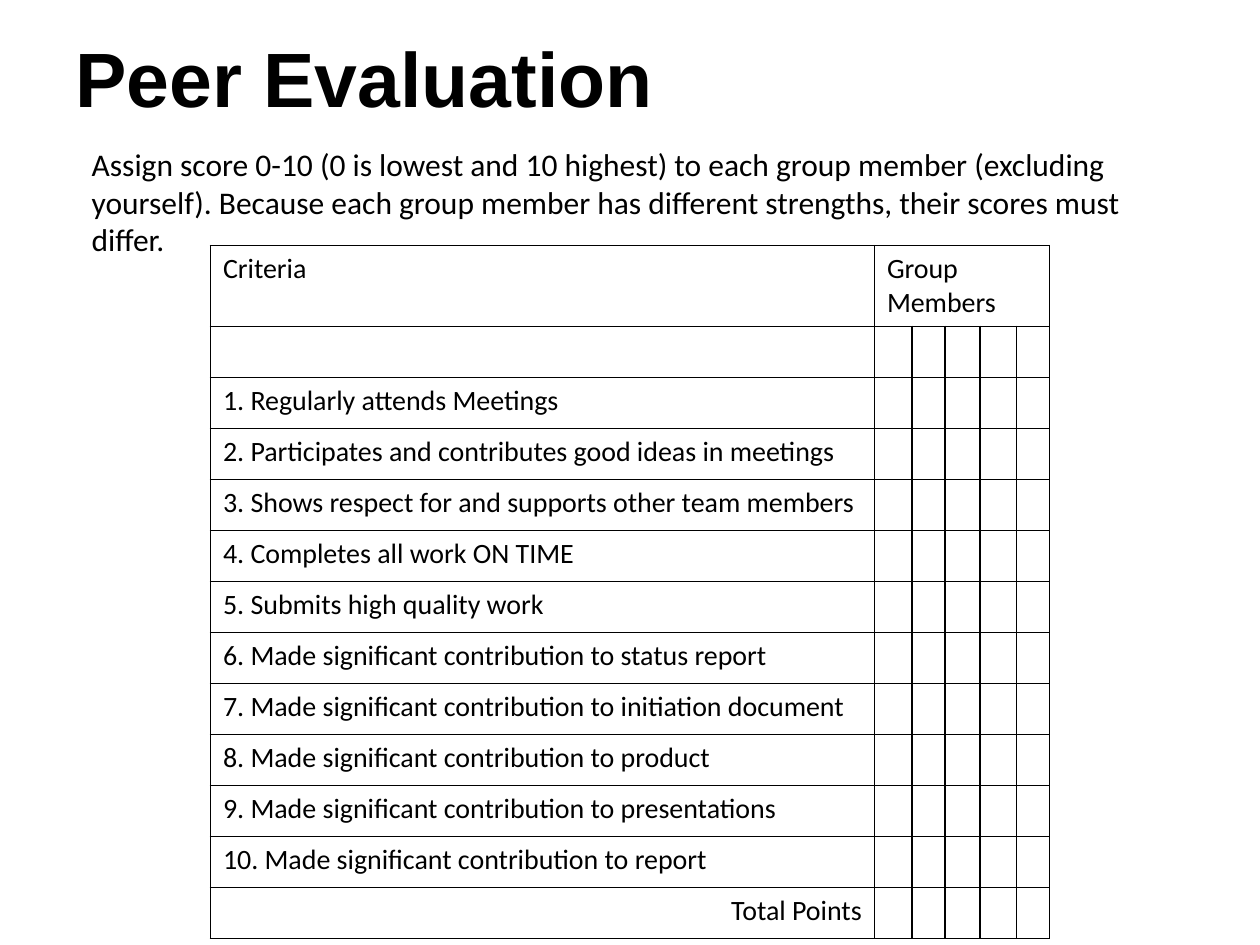
from dataclasses import dataclass

from lxml.etree import SubElement
from pptx import Presentation
from pptx.dml.color import RGBColor as Rgb
from pptx.enum.text import MSO_ANCHOR as Anchor, PP_ALIGN as Align
from pptx.oxml.ns import qn
from pptx.util import Inches, Pt

TITLE = "Peer Evaluation"
INTRO = (
    "Assign score 0-10 (0 is lowest and 10 highest) to each group member "
    "(excluding yourself). Because each group member has different strengths, "
    "their scores must differ."
)
HEADS = ("Criteria", "Group Members")
CRITERIA = [
    "Regularly attends Meetings",
    "Participates and contributes good ideas in meetings",
    "Shows respect for and supports other team members",
    "Completes all work ON TIME",
    "Submits high quality work",
    "Made significant contribution to status report",
    "Made significant contribution to initiation document",
    "Made significant contribution to product",
    "Made significant contribution to presentations",
    "Made significant contribution to report",
]
TOTAL = "Total Points"

WIDE, HIGH = 10, 7.5
TITLE_BOX = (0.5, 0.3, 9, 0.62)
INTRO_BOX = (0.63, 1.1, 8.87, 1.01)
GRID_BOX = (1.67, 1.95, 6.67, 5.5)
COLS = (5.27, 0.3, 0.26, 0.28, 0.29, 0.26)
HEAD_ROW = 0.64


@dataclass(frozen=True)
class Theme:
    ink: str = "000000"
    head_font: str = "Arial"
    body_font: str = "Calibri"
    head: int = 44
    body: int = 18
    cell: int = 16
    rule: int = 1


THEME = Theme()


def write(frame, text, size, face=THEME.body_font, bold=False, align=Align.LEFT):
    para = frame.paragraphs[0]
    para.alignment = align
    run = para.add_run()
    run.text = text
    font = run.font
    font.name, font.size, font.bold = face, Pt(size), bold
    font.color.rgb = Rgb.from_string(THEME.ink)


def add_text(slide, box, text, size, anchor=Anchor.TOP, **style):
    frame = slide.shapes.add_textbox(*map(Inches, box)).text_frame
    frame.word_wrap = True
    frame.vertical_anchor = anchor
    write(frame, text, size, **style)


def outline(cell):
    """Clear the cell's fill and rule all four of its sides."""
    props = cell._tc.get_or_add_tcPr()
    for side in ("lnL", "lnR", "lnT", "lnB"):
        line = SubElement(props, qn(f"a:{side}"), w=str(Pt(THEME.rule)))
        fill = SubElement(line, qn("a:solidFill"))
        SubElement(fill, qn("a:srgbClr"), val=THEME.ink)
    cell.fill.background()


def add_grid(slide):
    labels = [HEADS[0], ""]
    labels += [f"{num}. {text}" for num, text in enumerate(CRITERIA, 1)]
    labels.append(TOTAL)
    count = len(labels)
    frame = slide.shapes.add_table(count, len(COLS), *map(Inches, GRID_BOX))
    table = frame.table
    table.first_row = table.horz_banding = False

    for col, width in zip(table.columns, COLS):
        col.width = Inches(width)
    step = (GRID_BOX[3] - HEAD_ROW) / (count - 1)
    for num, row in enumerate(table.rows):
        row.height = Inches(step if num else HEAD_ROW)
    for cell in table.iter_cells():
        outline(cell)

    table.cell(0, 1).merge(table.cell(0, len(COLS) - 1))
    write(table.cell(0, 1).text_frame, HEADS[1], THEME.cell)
    for num, label in enumerate(labels):
        if label:
            align = Align.RIGHT if label == TOTAL else Align.LEFT
            write(table.cell(num, 0).text_frame, label, THEME.cell, align=align)


def main():
    deck = Presentation()
    deck.slide_width, deck.slide_height = Inches(WIDE), Inches(HIGH)
    slide = deck.slides.add_slide(deck.slide_layouts[6])
    add_text(slide, TITLE_BOX, TITLE, THEME.head, Anchor.MIDDLE,
             face=THEME.head_font, bold=True)
    add_grid(slide)
    add_text(slide, INTRO_BOX, INTRO, THEME.body)
    deck.save("out.pptx")


if __name__ == "__main__":
    main()
